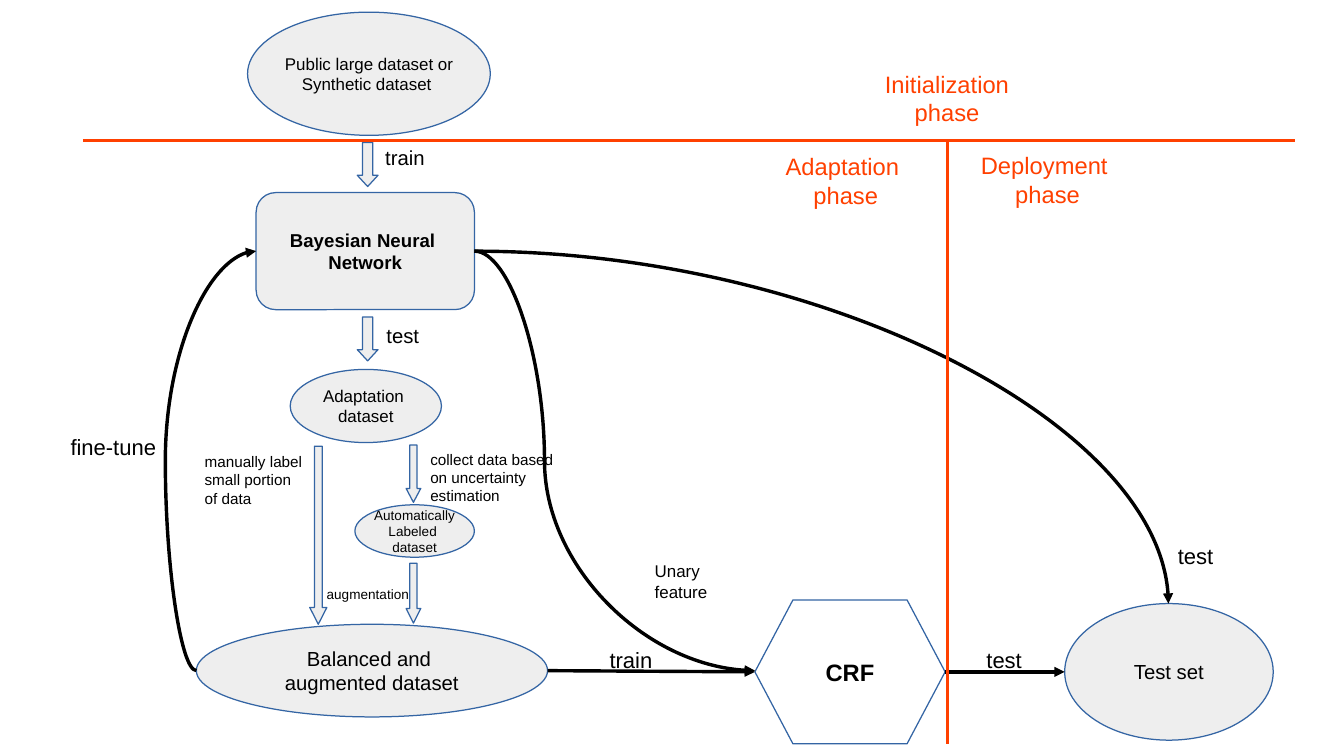
"""Build the slide on adapting a Bayesian neural network in three phases."""
from lxml import etree
from pptx import Presentation
from pptx import util as u
from pptx.dml.color import RGBColor
from pptx.enum import shapes, text
from pptx.oxml.ns import qn

PX = u.Inches(1) // 100
BLACK = RGBColor(0x00, 0x00, 0x00)
WHITE = RGBColor(0xFF, 0xFF, 0xFF)
GREY = RGBColor(0xEE, 0xEE, 0xEE)
BLUE = RGBColor(0x34, 0x65, 0xA4)
ORANGE = RGBColor(0xFF, 0x40, 0x00)
KIND = shapes.MSO_SHAPE
CONNECTOR = shapes.MSO_CONNECTOR

presentation = Presentation()
presentation.slide_width = 1102 * PX
presentation.slide_height = 620 * PX
slide = presentation.slides.add_slide(presentation.slide_layouts[6])


def write(shape, lines, size, color=BLACK, bold=False, align=text.PP_ALIGN.LEFT, wrap=True):
    """Fill a shape with one paragraph per line."""
    frame = shape.text_frame
    frame.word_wrap = wrap
    frame.text = lines
    for paragraph in frame.paragraphs:
        paragraph.alignment = align
        paragraph.font.name = "Arial"
        paragraph.font.size = u.Pt(size)
        paragraph.font.bold = bold
        paragraph.font.color.rgb = color


def connect(kind, begin, end, color=BLACK, arrow=True):
    """Draw a hairline connector, with an arrowhead at its end if wanted."""
    connector = slide.shapes.add_connector(kind, *(value * PX for value in begin + end))
    connector.line.color.rgb = color
    connector.line.width = 0
    if arrow:
        line = connector.line._get_or_add_ln()
        etree.SubElement(line, qn("a:tailEnd"), type="triangle")
    etree.SubElement(connector._element.spPr, qn("a:effectLst"))
    return connector


nodes = {}
for name, kind, box, lines, size, bold, fill in [
    ("public", KIND.OVAL, (203, 10, 199, 101),
     "Public large dataset or\nSynthetic dataset ", 10, False, GREY),
    ("network", KIND.ROUNDED_RECTANGLE, (210, 158, 179, 96),
     "Bayesian Neural \nNetwork", 11, True, GREY),
    ("adaptation", KIND.OVAL, (238, 303, 124, 60),
     "Adaptation \ndataset", 10, False, GREY),
    ("automatic", KIND.OVAL, (291, 414, 98, 43),
     "Automatically\nLabeled \ndataset", 8, False, GREY),
    ("balanced", KIND.OVAL, (161, 512, 288, 76),
     "Balanced and \naugmented dataset", 12, False, GREY),
    ("crf", KIND.FLOWCHART_PREPARATION, (619, 492, 156, 118), "CRF", 14, True, WHITE),
    ("test set", KIND.OVAL, (873, 495, 171, 112), "Test set", 12, False, GREY),
]:
    node = slide.shapes.add_shape(kind, *(value * PX for value in box))
    node.shadow.inherit = False
    node.fill.solid()
    node.fill.fore_color.rgb = fill
    node.line.color.rgb = BLUE
    node.line.width = 0
    write(node, lines, size, bold=bold, align=text.PP_ALIGN.CENTER, wrap=False)
    nodes[name] = node

for box, shaft, head in [
    ((293, 117, 17, 36), 0.5, 0.54),
    ((293, 260, 17, 36), 0.5, 0.54),
    ((333, 365, 12, 47), 0.5, 0.95),
    ((254, 366, 14, 146), 0.45, 0.98),
    ((333, 462, 12, 49), 0.5, 1),
]:
    block_arrow = slide.shapes.add_shape(KIND.DOWN_ARROW, *(value * PX for value in box))
    block_arrow.shadow.inherit = False
    block_arrow.fill.solid()
    block_arrow.fill.fore_color.rgb = GREY
    block_arrow.line.color.rgb = BLUE
    block_arrow.line.width = 0
    block_arrow.adjustments[0] = shaft
    block_arrow.adjustments[1] = head

for preset, bend, begin, end in [
    ("curvedConnector3", -51900, (161, 550), (210, 206)),
    ("curvedConnector3", 25000, (389, 206), (619, 550)),
    ("curvedConnector2", None, (389, 206), (958, 495)),
]:
    curve = connect(CONNECTOR.CURVE, begin, end)
    geometry = curve._element.spPr.find(qn("a:prstGeom"))
    geometry.set("prst", preset)
    if bend is not None:
        guides = geometry.find(qn("a:avLst"))
        etree.SubElement(guides, qn("a:gd"), name="adj1", fmla=f"val {bend}")

train_link = connect(CONNECTOR.STRAIGHT, (449, 550), (619, 551))
train_link.end_connect(nodes["crf"], 1)
test_link = connect(CONNECTOR.STRAIGHT, (775, 551), (873, 551))
test_link.begin_connect(nodes["crf"], 3)
connect(CONNECTOR.STRAIGHT, (68, 115), (1062, 115), ORANGE, arrow=False)
connect(CONNECTOR.STRAIGHT, (777, 116), (777, 610), ORANGE, arrow=False)

LABEL = {"color": BLACK, "align": text.PP_ALIGN.LEFT}
PHASE = {"color": ORANGE, "align": text.PP_ALIGN.CENTER}
for box, lines, size, style in [
    ((306, 114, 151, 35), "train", 12, LABEL),
    ((307, 260, 151, 34), "test", 12, LABEL),
    ((343, 364, 133, 68), "collect data based on uncertainty estimation", 9, LABEL),
    ((48, 351, 112, 36), "fine-tune", 13, LABEL),
    ((490, 525, 84, 36), "train", 13, LABEL),
    ((799, 525, 84, 36), "test", 13, LABEL),
    ((956, 440, 84, 36), "test", 13, LABEL),
    ((527, 455, 96, 49), "Unary feature", 10, LABEL),
    ((158, 366, 106, 54), "manually label\nsmall portion\nof data", 9, LABEL),
    ((258, 476, 118, 25), "augmentation", 8, LABEL),
    ((687, 52, 179, 64), "Initialization phase", 14, PHASE),
    ((608, 120, 171, 64), "Adaptation \nphase", 14, PHASE),
    ((765, 119, 188, 64), "Deployment \nphase", 14, PHASE),
]:
    label = slide.shapes.add_textbox(*(value * PX for value in box))
    write(label, lines, size, **style)

presentation.save("out.pptx")
